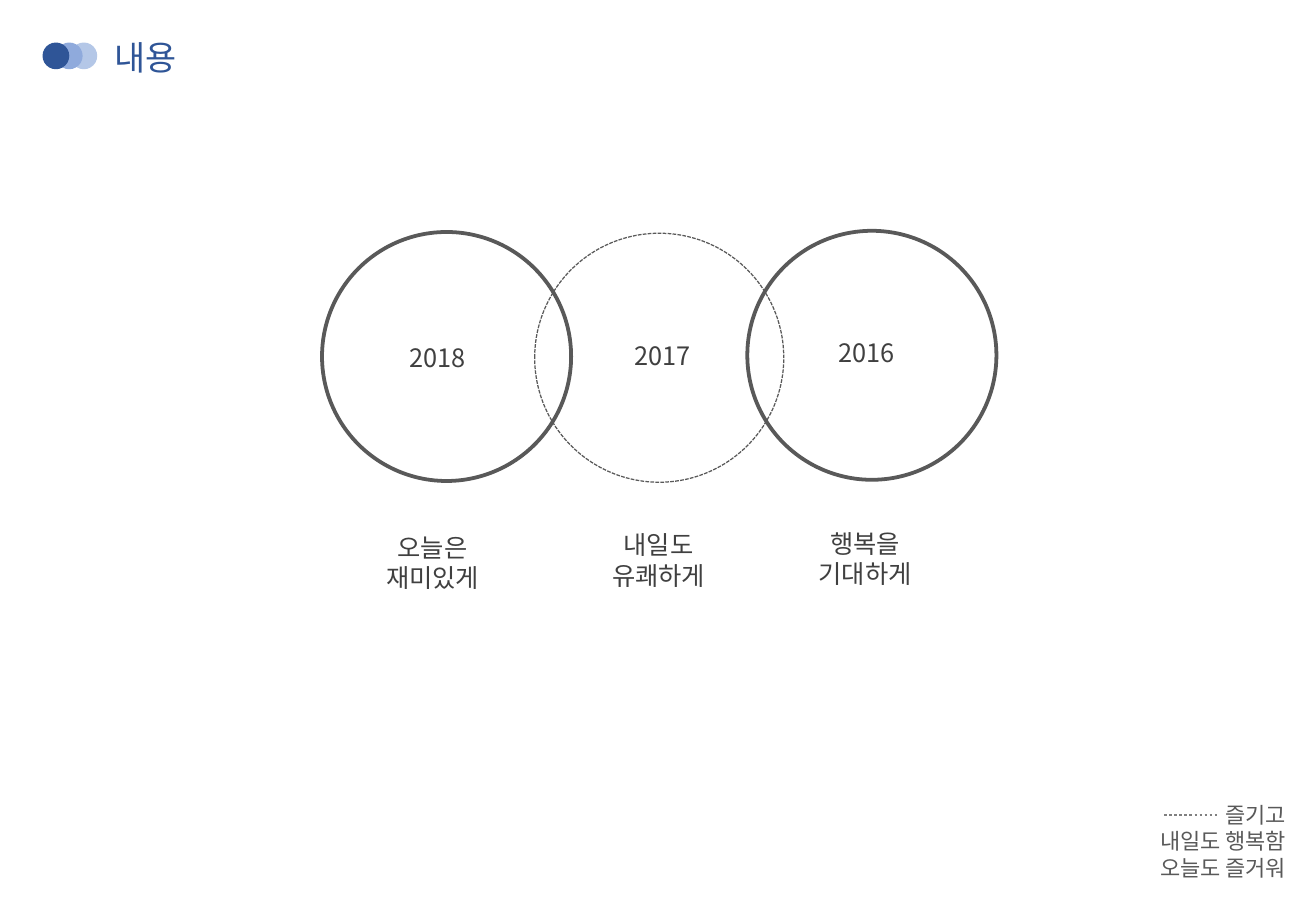
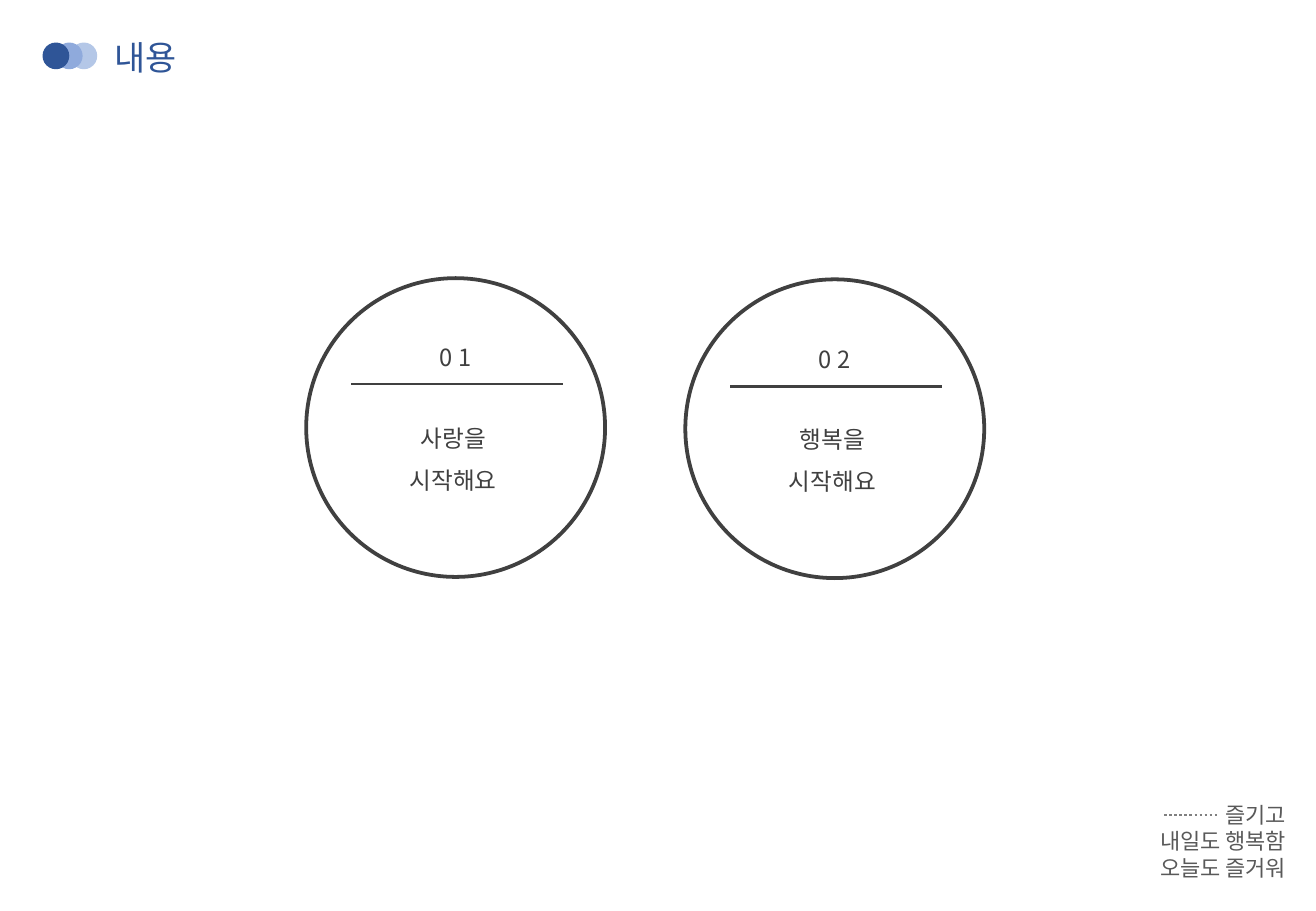
"""Builds two slides of circles that share a title and a closing note."""
from dataclasses import dataclass

from lxml import etree
from pptx import Presentation
from pptx import util as u
from pptx.dml.color import RGBColor
from pptx.enum import dml, shapes, text
from pptx.oxml.ns import qn

FONT = "Noto Sans CJK KR"
NAVY, BLUE, PALE = "2F5597", "8FAADC", "B4C7E7"
DARK, GREY, LIGHT = "404040", "595959", "808080"
LEFT, CENTER, RIGHT = text.PP_ALIGN.LEFT, text.PP_ALIGN.CENTER, text.PP_ALIGN.RIGHT


@dataclass
class Year:
    year: str
    year_at: tuple[float, float]
    circle_top: float
    width: float
    dash: dml.MSO_LINE | None
    label: str
    label_at: tuple[float, float]


@dataclass
class Step:
    number: str
    label: str
    left: float
    top: float
    rule_top: float


YEARS = [
    Year("2018", (2.76, 2.64), 1.91, 2.25, None, "오늘은\n재미있게", (2.72, 4.33)),
    Year("2017", (4.61, 2.63), 1.92, 0.75, dml.MSO_LINE.SQUARE_DOT,
         "내일도\n유쾌하게", (4.58, 4.31)),
    Year("2016", (6.29, 2.6), 1.9, 2.25, None, "행복을\n기대하게", (6.28, 4.3)),
]
STEPS = [
    Step("0 1", "사랑을\n시작해요", 2.52, 2.29, 3.16),
    Step("0 2", "행복을\n시작해요", 5.64, 2.3, 3.18),
]


def color(value: str) -> RGBColor:
    return RGBColor.from_string(value)


def add_circle(page, left: float, top: float, size: float, fill: str | None = None,
               line: str | None = None, width: float = 1, dash=None) -> None:
    circle = page.shapes.add_shape(shapes.MSO_SHAPE.OVAL, u.Inches(left), u.Inches(top),
                                   u.Inches(size), u.Inches(size))
    circle.shadow.inherit = False
    if fill:
        circle.fill.solid()
        circle.fill.fore_color.rgb = color(fill)
    else:
        circle.fill.background()
    if line:
        circle.line.color.rgb = color(line)
        circle.line.width = u.Pt(width)
        if dash:
            circle.line.dash_style = dash
    else:
        circle.line.fill.background()


def add_rule(page, left: float, right: float, top: float, line: str, dash=None) -> None:
    rule = page.shapes.add_connector(shapes.MSO_CONNECTOR.STRAIGHT, u.Inches(left),
                                     u.Inches(top), u.Inches(right), u.Inches(top))
    rule.line.color.rgb = color(line)
    rule.line.width = u.Pt(1.5)
    if dash:
        rule.line.dash_style = dash
    etree.SubElement(rule._element.spPr, qn("a:effectLst"))


def add_text(page, words: str, left: float, top: float, width: float, height: float,
             size: float, fill: str = DARK, align=CENTER, spacing: float = 1.0) -> None:
    box = page.shapes.add_textbox(u.Inches(left), u.Inches(top),
                                  u.Inches(width), u.Inches(height))
    frame = box.text_frame
    frame.word_wrap = True
    frame.auto_size = text.MSO_AUTO_SIZE.SHAPE_TO_FIT_TEXT
    frame.text = words
    for para in frame.paragraphs:
        para.alignment = align
        para.line_spacing = spacing
        for span in para.runs:
            span.font.size = u.Pt(size)
            span.font.color.rgb = color(fill)
            span.font.name = FONT
            etree.SubElement(span.font._element, qn("a:ea"), typeface=FONT)


def add_page(deck):
    page = deck.slides.add_slide(deck.slide_layouts[6])
    for left, fill in ((0.58, PALE), (0.46, BLUE), (0.35, NAVY)):
        add_circle(page, left, 0.35, 0.22, fill=fill)
    add_text(page, "내용", 0.84, 0.25, 5.24, 0.44, 20, NAVY, LEFT)
    add_text(page, "즐기고\n내일도 행복함\n오늘도 즐거워", 9.1, 6.55, 1.58, 0.76, 13, GREY, RIGHT)
    add_rule(page, 9.58, 10.02, 6.71, LIGHT, dml.MSO_LINE.ROUND_DOT)
    return page


def add_years(deck) -> None:
    page = add_page(deck)
    for index, item in enumerate(YEARS):
        add_circle(page, 2.65 + 1.75 * index, item.circle_top, 2.05,
                   line=GREY, width=item.width, dash=item.dash)
        add_text(page, item.year, *item.year_at, 1.68, 0.48, 15, spacing=1.5)
        add_text(page, item.label, *item.label_at, 1.68, 0.61, 15)


def add_steps(deck) -> None:
    page = add_page(deck)
    for step in STEPS:
        add_circle(page, step.left, step.top, 2.46, line=DARK, width=2.25)
        add_text(page, step.number, step.left - 0.33, step.top + 0.37, 3.12, 0.45, 14, spacing=1.5)
        add_rule(page, step.left + 0.37, step.left + 2.11, step.rule_top, DARK)
        add_text(page, step.label, step.left - 0.35, step.top + 1.03, 3.12, 0.81, 14, spacing=1.5)


def main() -> None:
    deck = Presentation()
    deck.slide_width, deck.slide_height = u.Inches(10.83), u.Inches(7.5)
    add_years(deck)
    add_steps(deck)
    deck.save("out.pptx")


if __name__ == "__main__":
    main()
